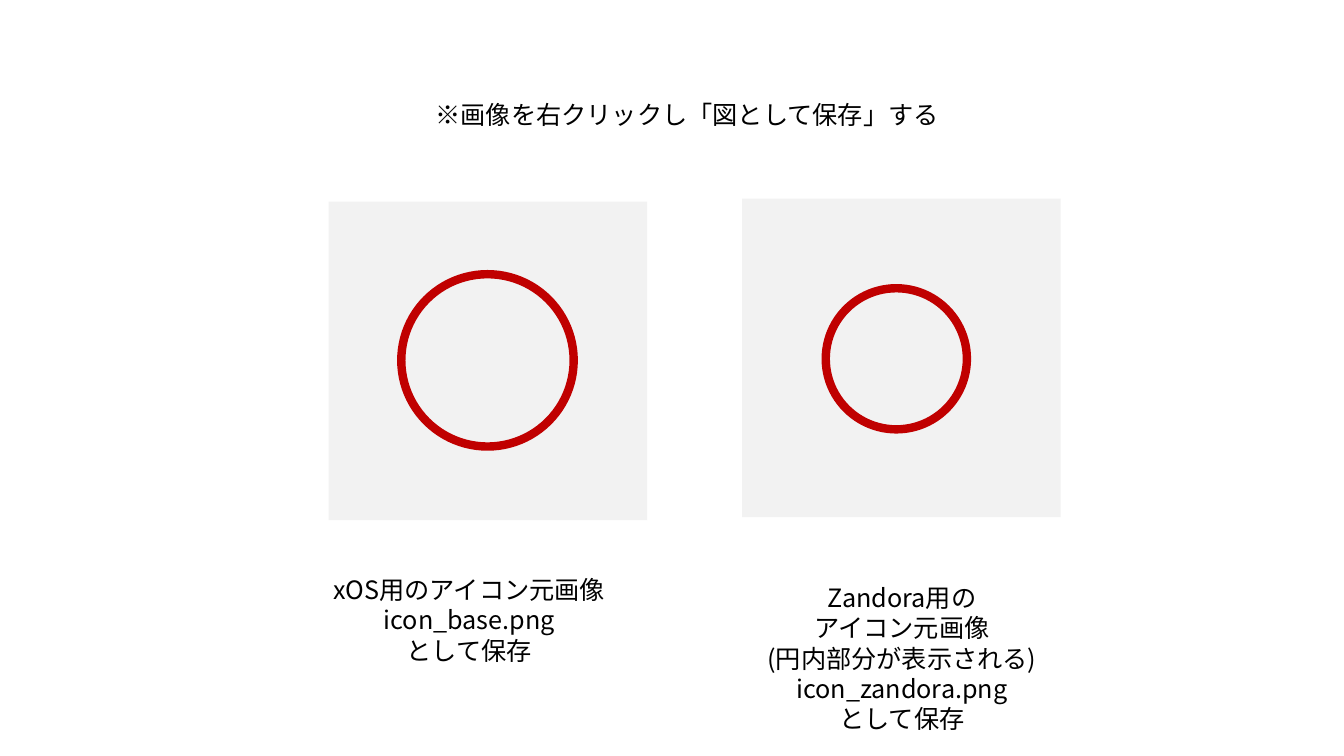
import pptx
import pptx.util
import pptx.dml.color
import pptx.enum.shapes
import pptx.enum.text
import pptx.oxml.ns
import lxml.etree

PX = 9144
FONT = "Noto Sans CJK JP"
COLORS = {"text": "000000", "tile": "F2F2F2", "ring": "C00000"}
SHAPE = pptx.enum.shapes.MSO_SHAPE


def rgb(name):
    return pptx.dml.color.RGBColor.from_string(COLORS[name])


def box(*lengths):
    return [pptx.util.Emu(n * PX) for n in lengths]


prs = pptx.Presentation()
prs.slide_width, prs.slide_height = box(1333, 750)
s = prs.slides.add_slide(prs.slide_layouts[6])

texts = [
    ((313, 565, 305, 101), ["xOS用のアイコン元画像", "icon_base.png", "として保存"]),
    ((742, 573, 305, 162), ["Zandora用の\vアイコン元画像", "(円内部分が表示される)",
                            "icon_zandora.png", "として保存"]),
    ((384, 94, 595, 40), ["※画像を右クリックし「図として保存」する"]),
]
for at, lines in texts:
    tf = s.shapes.add_textbox(*box(*at)).text_frame
    tf.word_wrap = True
    tf.auto_size = pptx.enum.text.MSO_AUTO_SIZE.SHAPE_TO_FIT_TEXT
    tf.text = "\n".join(lines)
    for p in tf.paragraphs:
        p.alignment = pptx.enum.text.PP_ALIGN.CENTER
        p.font.name = FONT
        p.font.size = pptx.util.Pt(18)
        p.font.color.rgb = rgb("text")
        for r in p.runs:
            ea = lxml.etree.SubElement(r.font._element, pptx.oxml.ns.qn("a:ea"))
            ea.set("typeface", FONT)

icons = [
    ((326, 200, 316, 316), (398, 272, 171, 171)),
    ((736, 197, 316, 316), (819, 286, 140, 140)),
]
for tile_at, ring_at in icons:
    icon = s.shapes.add_group_shape()
    tile = icon.shapes.add_shape(SHAPE.RECTANGLE, *box(*tile_at))
    tile.shadow.inherit = False
    tile.fill.solid()
    tile.fill.fore_color.rgb = rgb("tile")
    tile.line.fill.background()
    ring = icon.shapes.add_shape(SHAPE.OVAL, *box(*ring_at))
    ring.shadow.inherit = False
    ring.fill.background()
    ring.line.color.rgb = rgb("ring")
    ring.line.width = pptx.util.Pt(6)

prs.save("out.pptx")
